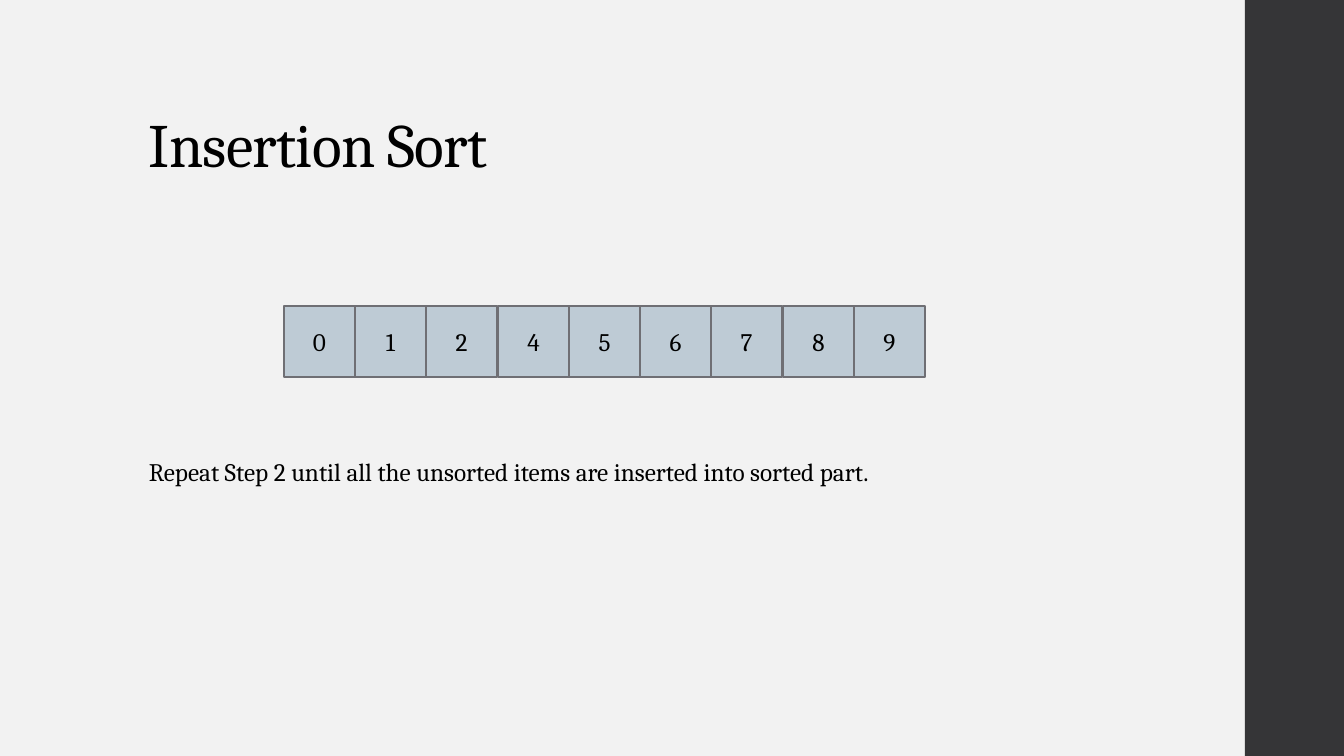
from dataclasses import dataclass

from pptx import Presentation
from pptx.dml.color import RGBColor
from pptx.enum.shapes import MSO_SHAPE
from pptx.enum.text import MSO_ANCHOR, PP_ALIGN
from pptx.shapes.autoshape import Shape
from pptx.slide import Slide
from pptx.util import Emu, Pt

SCALE = 914400 / 100.8  # EMU in one px
FONT = "Cambria"
COLORS = {
    "back": "F2F2F2",
    "side": "353537",
    "cell": "BECBD5",
    "edge": "6F6F74",
    "text": "000000",
}
ITEMS = "012456789"
ROW_LEFT, ROW_TOP, ROW_WIDTH = 284, 306, 641


@dataclass(frozen=True)
class Box:
    left: int
    top: int
    width: int
    height: int

    def emu(self) -> list[Emu]:
        return [px(n) for n in (self.left, self.top, self.width, self.height)]


def px(length: int) -> Emu:
    return Emu(round(length * SCALE))


def color(name: str) -> RGBColor:
    return RGBColor.from_string(COLORS[name])


def add_rect(slide: Slide, box: Box, fill: str, edge: str | None = None) -> Shape:
    rect = slide.shapes.add_shape(MSO_SHAPE.RECTANGLE, *box.emu())
    rect.shadow.inherit = False
    rect.fill.solid()
    rect.fill.fore_color.rgb = color(fill)
    if edge:
        rect.line.color.rgb = color(edge)
        rect.line.width = Pt(1.1)
    else:
        rect.line.fill.background()
    return rect


def write(shape: Shape, text: str, *, size: int = 18,
          align: PP_ALIGN = PP_ALIGN.LEFT,
          anchor: MSO_ANCHOR = MSO_ANCHOR.TOP,
          lines: float = 1.0, track: float = 0) -> None:
    """Fill the shape with one paragraph; track is letter spacing in points."""
    frame = shape.text_frame
    frame.word_wrap = True
    frame.vertical_anchor = anchor
    para = frame.paragraphs[0]
    para.alignment = align
    para.line_spacing = lines
    run = para.add_run()
    run.text = text
    run.font.name = FONT
    run.font.size = Pt(size)
    run.font.color.rgb = color("text")
    if track:
        run.font._element.set("spc", str(round(track * 100)))


def add_row(slide: Slide) -> None:
    """Draw the sorted items as touching cells across the row width."""
    count = len(ITEMS)
    side = round(ROW_WIDTH / count)
    for i, item in enumerate(ITEMS):
        left = ROW_LEFT + round(i * ROW_WIDTH / count)
        cell = add_rect(slide, Box(left, ROW_TOP, side, side), "cell", "edge")
        write(cell, item, align=PP_ALIGN.CENTER, anchor=MSO_ANCHOR.MIDDLE)


def main() -> None:
    deck = Presentation()
    deck.slide_width, deck.slide_height = px(1344), px(756)
    slide = deck.slides.add_slide(deck.slide_layouts[6])
    slide.background.fill.solid()
    slide.background.fill.fore_color.rgb = color("back")

    add_rect(slide, Box(1245, 0, 99, 756), "side")
    title = slide.shapes.add_textbox(*Box(139, 40, 1068, 146).emu())
    write(title, "Insertion Sort", size=44, anchor=MSO_ANCHOR.BOTTOM,
          lines=0.9, track=-0.5)
    add_row(slide)
    step = slide.shapes.add_textbox(*Box(139, 451, 1040, 102).emu())
    write(step, "Repeat Step 2 until all the unsorted items are inserted "
                "into sorted part.")
    deck.save("out.pptx")


if __name__ == "__main__":
    main()
